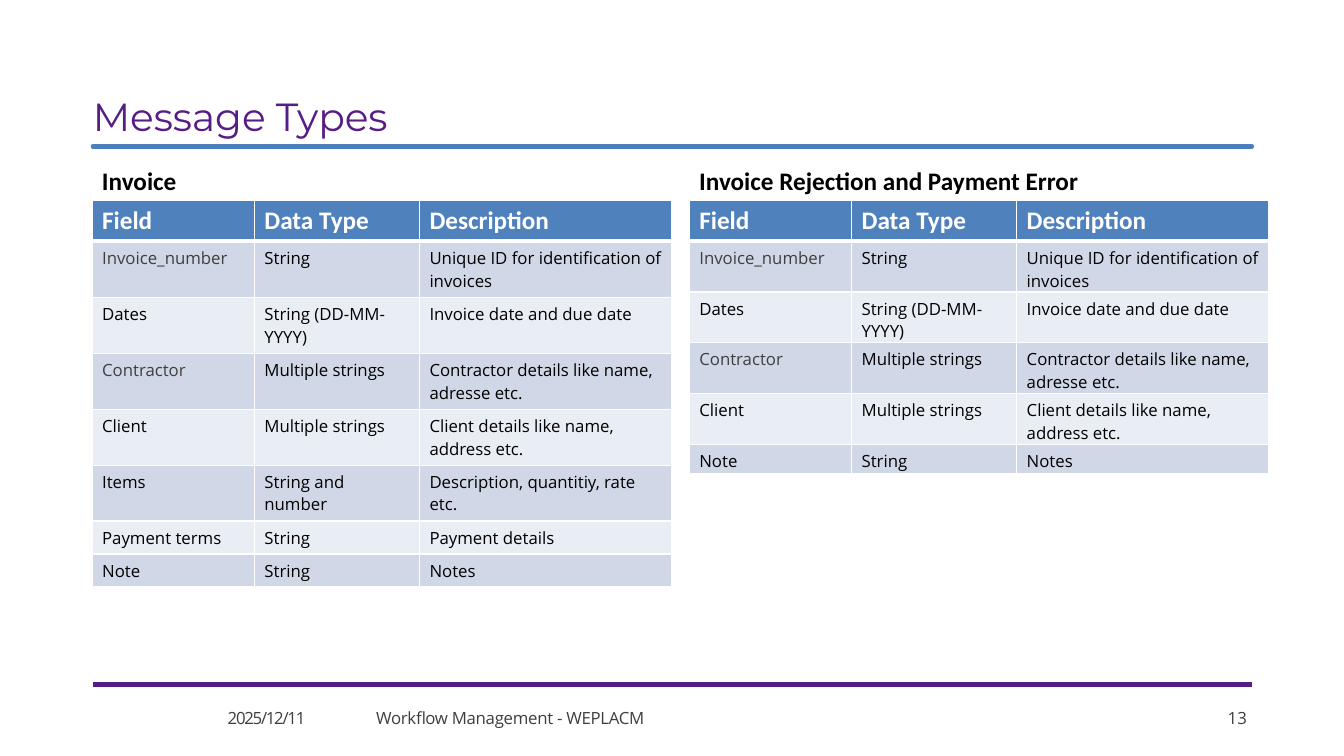
from pptx import Presentation
from pptx import util as u
from pptx.dml import color
from pptx.enum import shapes, text
from pptx.oxml import parse_xml
from pptx.oxml.ns import nsdecls

PURPLE, BLUE, BLACK, WHITE, GREY = "581C87", "4B7EBC", "000000", "FFFFFF", "3F3F3F"
HEADER_FILL, BAND_FILLS = "4F81BD", ("D0D8E8", "E9EDF4")
COLUMN_WIDTHS = (4.09, 4.16, 6.36)

HEADING = {"name": "Calibri", "size": u.Pt(18), "bold": True}
BODY = {"name": "Open Sans", "size": u.Pt(12), "bold": False}
TITLE = {"name": "Montserrat", "size": u.Pt(28), "bold": False}

HEADER = ("Field", "Data Type", "Description")
SHARED_FIELDS = [
    ("Invoice_number", "String", "Unique ID for identification of invoices"),
    ("Dates", "String (DD-MM-YYYY)", "Invoice date and due date"),
    ("Contractor", "Multiple strings", "Contractor details like name, adresse etc."),
    ("Client", "Multiple strings", "Client details like name, address etc."),
]
INVOICE_ONLY = [
    ("Items", "String and number", "Description, quantitiy, rate etc."),
    ("Payment terms", "String", "Payment details"),
]
NOTE = [("Note", "String", "Notes")]
GREY_FIELDS = ("Invoice_number", "Contractor")


def rgb(value):
    return color.RGBColor.from_string(value)


def write(frame, words, font_values, font_color, spacing=0):
    run = frame.paragraphs[0].add_run()
    run.text = words
    for name, value in font_values.items():
        setattr(run.font, name, value)
    run.font.color.rgb = rgb(font_color)
    if spacing:
        run.font._element.set("spc", str(spacing))


def add_text(slide, box, words, font_values, font_color, spacing=0, **frame_values):
    frame = slide.shapes.add_textbox(*map(u.Cm, box)).text_frame
    no_margins = dict.fromkeys(
        ("margin_left", "margin_top", "margin_right", "margin_bottom"), 0)
    for name, value in {"word_wrap": True, **no_margins, **frame_values}.items():
        setattr(frame, name, value)
    write(frame, words, font_values, font_color, spacing)


def add_rule(slide, left, top, width, line_color, cap):
    rule = slide.shapes.add_connector(
        shapes.MSO_CONNECTOR.STRAIGHT,
        u.Cm(left), u.Cm(top), u.Cm(left + width), u.Cm(top))
    rule.line.color.rgb = rgb(line_color)
    rule.line.width = u.Pt(3)
    rule.line._get_or_add_ln().set("cap", cap)
    rule._element.spPr.append(parse_xml(f"<a:effectLst {nsdecls('a')}/>"))


def set_borders(cell, widths):
    properties = cell._tc.get_or_add_tcPr()
    for position, (side, width) in enumerate(widths.items()):
        properties.insert(position, parse_xml(
            f'<a:ln{side} {nsdecls("a")} w="{u.Pt(width)}"><a:solidFill>'
            f'<a:srgbClr val="{WHITE}"/></a:solidFill></a:ln{side}>'))


def add_title(slide, box):
    left, top, width, height = box
    add_text(slide, box, "Message Types", TITLE, PURPLE,
             vertical_anchor=text.MSO_ANCHOR.BOTTOM)
    add_rule(slide, left, top + height + 0.18, width, BLUE, "rnd")


def add_message_type(slide, box, caption, fields, heights, margin_bottom):
    left, top, width = box
    header_height, double_height, single_height = heights

    # Caption
    add_text(slide, (left, top, width, 1.02), caption, HEADING, BLACK,
             margin_left=u.Cm(0.25), margin_right=u.Cm(0.25),
             margin_top=u.Cm(0.13), margin_bottom=u.Cm(0.13))

    # Field table
    rows = [HEADER] + fields
    row_heights = [header_height] + [
        single_height if kind == "String" and len(description) < 20 else double_height
        for _, kind, description in fields]
    table = slide.shapes.add_table(
        len(rows), len(HEADER), u.Cm(left), u.Cm(top + 1.02),
        u.Cm(width), u.Cm(sum(row_heights))).table
    for column, column_width in zip(table.columns, COLUMN_WIDTHS):
        column.width = u.Cm(column_width)
    for index, (row, height, words) in enumerate(zip(table.rows, row_heights, rows)):
        row.height = u.Cm(height)
        is_header = index == 0
        fill = HEADER_FILL if is_header else BAND_FILLS[(index - 1) % 2]
        borders = {"L": 1, "R": 1, "T": 3 if index == 1 else 1, "B": 3 if is_header else 1}
        for cell, word in zip(row.cells, words):
            cell.fill.solid()
            cell.fill.fore_color.rgb = rgb(fill)
            set_borders(cell, borders)
            if is_header:
                write(cell.text_frame, word, HEADING, WHITE)
            else:
                cell.margin_bottom = u.Cm(margin_bottom)
                write(cell.text_frame, word, BODY, GREY if word in GREY_FIELDS else BLACK)


def add_footer(slide, box):
    left, top, width = box
    add_rule(slide, left, top, width, PURPLE, "flat")
    parts = [  # offset, width, words, letter spacing
        (3.4, 2.51, "2025/12/11", -90),
        (7.14, 7.19, "Workflow Management - WEPLACM", -20),
        (28.6, 1.04, "13", 0),
    ]
    for offset, part_width, words, spacing in parts:
        add_text(slide, (left + offset, top + 0.58, part_width, 0.6),
                 words, BODY, "3E3E3E", spacing)


def main():
    presentation = Presentation()
    presentation.slide_width, presentation.slide_height = u.Cm(33.87), u.Cm(19.05)
    slide = presentation.slides.add_slide(presentation.slide_layouts[6])

    add_title(slide, (2.34, 1.02, 29.21, 2.49))
    add_message_type(slide, (2.32, 4.04, 14.61), "Invoice",
                     SHARED_FIELDS + INVOICE_ONLY + NOTE, (1.02, 1.41, 0.83), 0.13)
    add_message_type(slide, (17.37, 4.04, 14.61), "Invoice Rejection and Payment Error",
                     SHARED_FIELDS + NOTE, (1.02, 1.28, 0.74), 0)
    add_footer(slide, (2.34, 17.25, 29.21))

    presentation.save("out.pptx")


if __name__ == "__main__":
    main()
